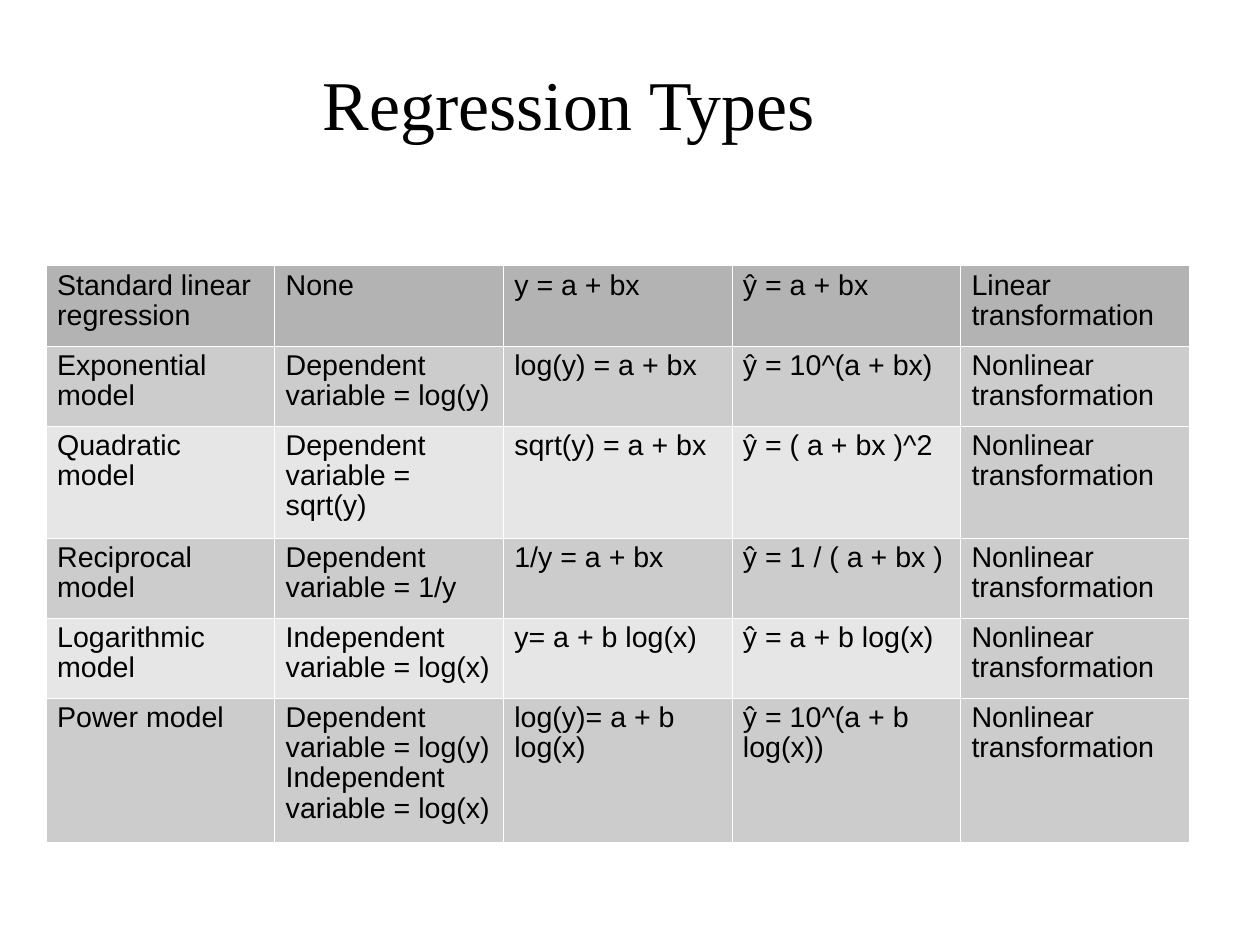
from lxml import etree
from pptx import Presentation
from pptx import util as u
from pptx.dml.color import RGBColor
from pptx.enum import text
from pptx.oxml import ns

BLACK = RGBColor(0x00, 0x00, 0x00)
WHITE = RGBColor(0xFF, 0xFF, 0xFF)
DARK_GREY = RGBColor(0xB3, 0xB3, 0xB3)
MID_GREY = RGBColor(0xCC, 0xCC, 0xCC)
LIGHT_GREY = RGBColor(0xE6, 0xE6, 0xE6)

NONLINEAR = "Nonlinear transformation"
MODELS = [
    ("Standard linear regression", "None", "y = a + bx", "ŷ = a + bx",
     "Linear transformation"),
    ("Exponential model", "Dependent variable = log(y)", "log(y) = a + bx",
     "ŷ = 10^(a + bx)", NONLINEAR),
    ("Quadratic model", "Dependent variable = sqrt(y)", "sqrt(y) = a + bx",
     "ŷ = ( a + bx )^2", NONLINEAR),
    ("Reciprocal model", "Dependent variable = 1/y", "1/y = a + bx",
     "ŷ = 1 / ( a + bx )", NONLINEAR),
    ("Logarithmic model", "Independent variable = log(x)", "y= a + b log(x)",
     "ŷ = a + b log(x)", NONLINEAR),
    ("Power model", "Dependent variable = log(y)\nIndependent variable = log(x)",
     "log(y)= a + b log(x)", "ŷ = 10^(a + b log(x))", NONLINEAR),
]
ROW_HEIGHTS = [1.78, 1.78, 2.49, 1.78, 1.78, 3.2]
COLUMN_WIDTH = 5.08


def set_all(target, values):
    for name, value in values.items():
        setattr(target, name, value)


def row_fill(row, column):
    """Dark first row, then alternating bands; the last column has no light band."""
    if row == 0:
        return DARK_GREY
    return LIGHT_GREY if row % 2 == 0 and column < 4 else MID_GREY


class SlideBuilder:
    title_font = {"name": "Times New Roman", "size": u.Pt(44)}
    title_para = {"alignment": text.PP_ALIGN.CENTER, "line_spacing": 0.93}
    title_frame = {"word_wrap": True, "vertical_anchor": text.MSO_ANCHOR.MIDDLE,
                   "margin_left": 0, "margin_right": 0,
                   "margin_top": u.Cm(0.1), "margin_bottom": 0}
    cell_font = {"name": "Arial", "size": u.Pt(18)}
    cell_para = {"alignment": text.PP_ALIGN.LEFT, "line_spacing": 0.94}
    cell_margins = {"margin_left": u.Cm(0.25), "margin_right": u.Cm(0.25),
                    "margin_top": u.Cm(0.13), "margin_bottom": u.Cm(0.13)}
    border_width = u.Pt(0.06)

    def __init__(self, deck):
        self.page = deck.slides.add_slide(deck.slide_layouts[6])

    def fill_text(self, frame, content, para_format, font_format):
        frame.text = content
        for para in frame.paragraphs:
            set_all(para, para_format)
            for span in para.runs:
                set_all(span.font, font_format)
                span.font.color.rgb = BLACK

    def title(self, content, left, top, width, height):
        box = self.page.shapes.add_textbox(*map(u.Cm, (left, top, width, height)))
        set_all(box.text_frame, self.title_frame)
        self.fill_text(box.text_frame, content, self.title_para, self.title_font)

    def borders(self, cell):
        properties = cell._tc.get_or_add_tcPr()
        for side in ("a:lnL", "a:lnR", "a:lnT", "a:lnB"):
            line = etree.SubElement(properties, ns.qn(side), w=str(self.border_width))
            fill = etree.SubElement(line, ns.qn("a:solidFill"))
            etree.SubElement(fill, ns.qn("a:srgbClr"), val=str(WHITE))

    def table(self, rows, left, top, column_width, row_heights):
        columns = len(rows[0])
        size = (column_width * columns, sum(row_heights))
        table = self.page.shapes.add_table(
            len(rows), columns, *map(u.Cm, (left, top, *size))).table
        for column in table.columns:
            column.width = u.Cm(column_width)
        for r, (entries, height) in enumerate(zip(rows, row_heights)):
            table.rows[r].height = u.Cm(height)
            for c, entry in enumerate(entries):
                cell = table.cell(r, c)
                set_all(cell, self.cell_margins)
                self.fill_text(cell.text_frame, entry, self.cell_para, self.cell_font)
                self.borders(cell)
                cell.fill.solid()
                cell.fill.fore_color.rgb = row_fill(r, c)


def main():
    deck = Presentation()
    set_all(deck, {"slide_width": u.Cm(28), "slide_height": u.Cm(21)})
    builder = SlideBuilder(deck)

    # Heading
    builder.title("Regression Types", 1.4, 0.79, 22.5, 3.07)

    # Model overview
    builder.table(MODELS, 1.02, 5.9, COLUMN_WIDTH, ROW_HEIGHTS)

    deck.save("out.pptx")


if __name__ == "__main__":
    main()
